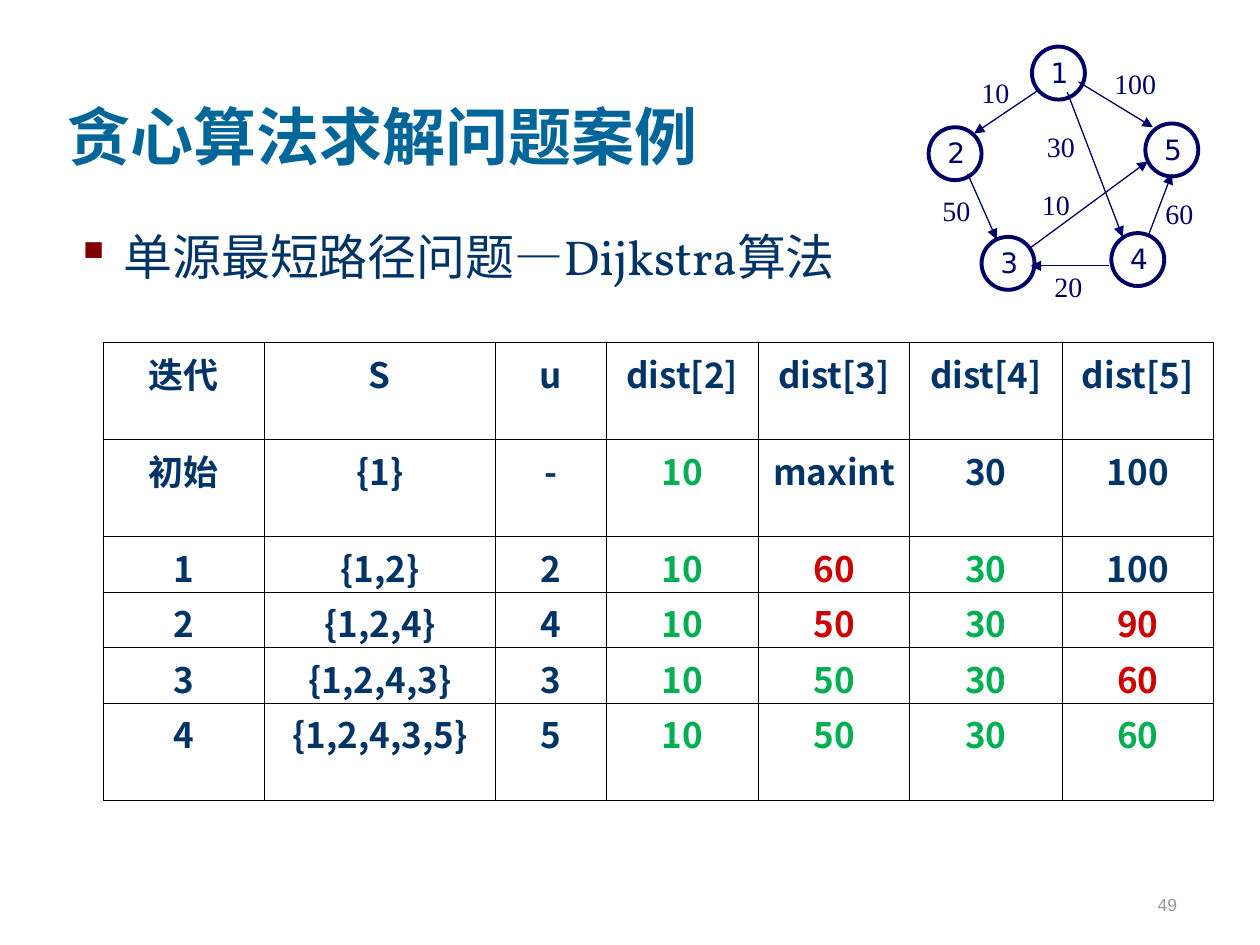
import pptx
import pptx.util
import pptx.dml.color
import pptx.enum.shapes
import pptx.enum.text
import pptx.oxml.ns
from lxml import etree

Inches, Pt = pptx.util.Inches, pptx.util.Pt
ALIGN, ANCHOR = pptx.enum.text.PP_ALIGN, pptx.enum.text.MSO_ANCHOR
qn = pptx.oxml.ns.qn

# Content
COLORS = {"title": "006699", "navy": "003366", "graph": "000066", "bullet": "800000",
          "green": "00B050", "red": "CC0000", "gray": "969696", "border": "000000"}
CJK = "Noto Sans CJK SC"
TITLE = "贪心算法求解问题案例"
TOPIC = "单源最短路径问题—Dijkstra算法"
PAGE = "49"

NODE_SIZE = 0.42
NODES = {"1": (8.19, 0.37), "2": (7.37, 1.01), "3": (7.79, 1.88),
         "4": (8.82, 1.85), "5": (9.09, 0.98)}
# start, end, weight, left and top of the weight label
EDGES = [
    ((8.25, 0.71), (7.73, 1.06), "10", (7.75, 0.6)),
    ((7.68, 1.38), (7.91, 1.9), "50", (7.44, 1.54)),
    ((8.8, 2.11), (8.18, 2.11), "20", (8.33, 2.14)),
    ((9.11, 1.88), (9.3, 1.38), "60", (9.21, 1.56)),
    ((8.56, 0.65), (9.15, 1.01), "100", (8.82, 0.53)),
    ((8.47, 0.73), (8.91, 1.88), "30", (8.27, 1.03)),
    ((8.16, 1.98), (9.11, 1.28), "10", (8.23, 1.49)),
]

# row height, cells, colour of each dist value (n navy, g green, r red)
ROWS = [
    (0.77, ["迭代", "S", "u", "dist[2]", "dist[3]", "dist[4]", "dist[5]"], "nnnn"),
    (0.77, ["初始", "{1}", "-", "10", "maxint", "30", "100"], "gnnn"),
    (0.44, ["1", "{1,2}", "2", "10", "60", "30", "100"], "grgn"),
    (0.44, ["2", "{1,2,4}", "4", "10", "50", "30", "90"], "grgr"),
    (0.44, ["3", "{1,2,4,3}", "3", "10", "50", "30", "60"], "gggr"),
    (0.77, ["4", "{1,2,4,3,5}", "5", "10", "50", "30", "60"], "gggg"),
]
COL_WIDTHS = [1.28, 1.83, 0.88, 1.21, 1.2, 1.21, 1.2]
MARKS = {"n": "navy", "g": "green", "r": "red"}


def rgb(name):
    return pptx.dml.color.RGBColor.from_string(COLORS[name])


def sub(parent, tag, **attrs):
    return etree.SubElement(parent, qn(tag), attrs)


def style(p, size, font, color, align=ALIGN.LEFT, bold=False):
    p.alignment = align
    f = p.font
    f.size, f.name, f.bold = Pt(size), font, bold
    f.color.rgb = rgb(color)
    sub(f._rPr, "a:ea", typeface=CJK)


def add_text(shapes, box, text, inset=True, wrap=True, anchor=ANCHOR.TOP):
    tf = shapes.add_textbox(*map(Inches, box)).text_frame
    tf.word_wrap, tf.vertical_anchor = wrap, anchor
    if not inset:
        tf.margin_left = tf.margin_right = tf.margin_top = tf.margin_bottom = 0
    tf.text = text
    return tf.paragraphs[0]


def add_arrow(shapes, start, end):
    c = shapes.add_connector(pptx.enum.shapes.MSO_CONNECTOR.STRAIGHT,
                             *map(Inches, start + end))
    c.line.color.rgb, c.line.width = rgb("graph"), Pt(0.75)
    sub(c.line._get_or_add_ln(), "a:tailEnd", type="triangle")
    sub(c._element.spPr, "a:effectLst")


def set_borders(cell):
    tcPr = cell._tc.get_or_add_tcPr()
    for side in ("a:lnL", "a:lnR", "a:lnT", "a:lnB"):
        ln = sub(tcPr, side, w=str(Pt(0.45)))
        sub(sub(ln, "a:solidFill"), "a:srgbClr", val=COLORS["border"])


prs = pptx.Presentation()
prs.slide_width, prs.slide_height = Inches(10), Inches(7.5)
s = prs.slides.add_slide(prs.slide_layouts[6])

# Title, topic and page number
p = add_text(s.shapes, (0.44, 0.17, 8.5, 1.25), TITLE, anchor=ANCHOR.BOTTOM)
style(p, 36, "Times New Roman", "title", bold=True)

p = add_text(s.shapes, (0.5, 1.75, 8.94, 4.88), TOPIC)
pPr = p._p.get_or_add_pPr()
pPr.set("marL", str(Inches(0.38)))
pPr.set("indent", str(-Inches(0.38)))
sub(sub(pPr, "a:buClr"), "a:srgbClr", val=COLORS["bullet"])
sub(pPr, "a:buChar", char="▪")
style(p, 28, "Vollkorn", "navy")

p = add_text(s.shapes, (7.36, 6.81, 2.08, 0.5), PAGE, anchor=ANCHOR.BOTTOM)
style(p, 10, "Arial", "gray", ALIGN.RIGHT)

# Graph: nodes, arrows, weights
graph = s.shapes.add_group_shape().shapes
for name, (x, y) in NODES.items():
    sp = graph.add_shape(pptx.enum.shapes.MSO_SHAPE.OVAL,
                         *map(Inches, (x, y, NODE_SIZE, NODE_SIZE)))
    sp.shadow.inherit = False
    sp.fill.background()
    sp.line.color.rgb, sp.line.width = rgb("graph"), Pt(2.25)
    p = add_text(graph, (x + 0.05, y + 0.02, 0.32, 0.37), name, wrap=False)
    style(p, 16, "DejaVu Sans", "graph", ALIGN.CENTER)
for start, end, weight, (x, y) in EDGES:
    add_arrow(graph, start, end)
    width = 0.38 if len(weight) > 2 else 0.3
    p = add_text(graph, (x, y, width, 0.27), weight, inset=False)
    style(p, 16, "Times New Roman", "graph", ALIGN.CENTER)

# Table of iterations
heights = [row[0] for row in ROWS]
frame = s.shapes.add_table(len(ROWS), len(COL_WIDTHS), Inches(0.82), Inches(2.72),
                           Inches(sum(COL_WIDTHS)), Inches(sum(heights)))
table = frame.table
table.first_row = table.horz_banding = False
for col, width in zip(table.columns, COL_WIDTHS):
    col.width = Inches(width)
for row, (height, texts, marks) in zip(table.rows, ROWS):
    row.height = Inches(height)
    for cell, text, mark in zip(row.cells, texts, "nnn" + marks):
        cell.text = text
        cell.margin_top, cell.margin_bottom = Inches(0.04), 0
        set_borders(cell)
        cell.fill.background()
        style(cell.text_frame.paragraphs[0], 20, CJK, MARKS[mark], ALIGN.CENTER, True)

prs.save("out.pptx")
